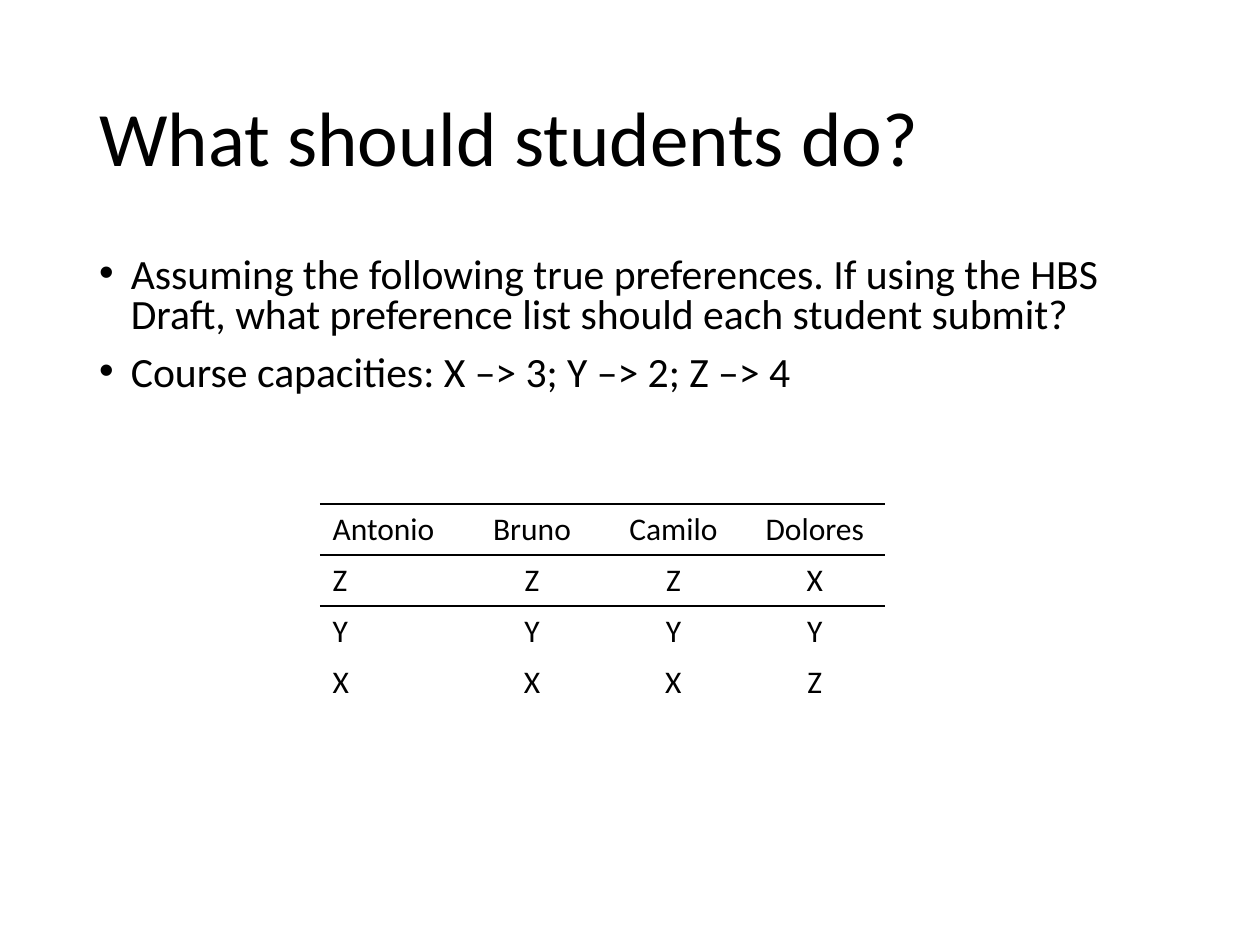
import dataclasses

import lxml.etree
import pptx
import pptx.dml.color
import pptx.enum.text
import pptx.oxml.ns
import pptx.util

Cm = pptx.util.Cm
Pt = pptx.util.Pt
qn = pptx.oxml.ns.qn
ALIGN = pptx.enum.text.PP_ALIGN
ANCHOR = pptx.enum.text.MSO_ANCHOR


@dataclasses.dataclass(frozen=True)
class Theme:
    font: str = "Calibri"
    ink: str = "000000"
    title_size: float = 44
    body_size: float = 23.8
    table_size: float = 18
    rule_width: float = 1


THEME = Theme()

TITLE = "What should students do?"
POINTS = [
    "Assuming the following true preferences. If using the HBS Draft, "
    "what preference list should each student submit?",
    "Course capacities: X –> 3; Y –> 2; Z –> 4",
]
# The first row is empty and only carries the top rule
PREFERENCES = [
    ["", "", "", ""],
    ["Antonio", "Bruno", "Camilo", "Dolores"],
    ["Z", "Z", "Z", "X"],
    ["Y", "Y", "Y", "Y"],
    ["X", "X", "X", "Z"],
]
RULED_ROWS = {0, 1, 2}  # rows with a rule below them


def apply_format(target, values):
    for name, value in values.items():
        setattr(target, name, value)


def add_span(para, text, size):
    span = para.add_run()
    span.text = text
    apply_format(span.font, {"name": THEME.font, "size": Pt(size)})
    span.font.color.rgb = pptx.dml.color.RGBColor.from_string(THEME.ink)


def add_bullet(para):
    properties = para._p.get_or_add_pPr()
    properties.set("marL", str(Cm(0.64)))
    properties.set("indent", str(-Cm(0.64)))
    font = lxml.etree.SubElement(properties, qn("a:buFont"))
    font.set("typeface", "Arial")
    bullet = lxml.etree.SubElement(properties, qn("a:buChar"))
    bullet.set("char", "•")


def add_text(page, top, lines, size, spacing, anchor, bulleted=False):
    box = page.shapes.add_textbox(Cm(1.75), top, Cm(21.9), Cm(3.68))
    frame = box.text_frame
    apply_format(frame, {"word_wrap": True, "vertical_anchor": anchor})
    for index, line in enumerate(lines):
        para = frame.add_paragraph() if index else frame.paragraphs[0]
        if bulleted:
            add_bullet(para)
        apply_format(para, {"line_spacing": spacing,
                            "space_before": Pt(10 if index else 0)})
        add_span(para, line, size)


def set_borders(cell, ruled_sides):
    properties = cell._tc.get_or_add_tcPr()
    for side in ("L", "R", "T", "B"):
        line = lxml.etree.SubElement(properties, qn(f"a:ln{side}"))
        if side in ruled_sides:
            line.set("w", str(Pt(THEME.rule_width)))
            fill = lxml.etree.SubElement(line, qn("a:solidFill"))
            lxml.etree.SubElement(fill, qn("a:srgbClr")).set("val", THEME.ink)
        else:
            lxml.etree.SubElement(line, qn("a:noFill"))


def add_preference_table(page):
    row_count, column_count = len(PREFERENCES), len(PREFERENCES[0])
    table = page.shapes.add_table(
        row_count, column_count, Cm(6.45), Cm(9.13),
        Cm(2.85) * column_count, Cm(1.03) * row_count).table
    apply_format(table, {"first_row": False, "horz_banding": False})
    for row, texts in enumerate(PREFERENCES):
        sides = {"B"} if row in RULED_ROWS else set()
        if row - 1 in RULED_ROWS:
            sides.add("T")
        for column, text in enumerate(texts):
            cell = table.cell(row, column)
            set_borders(cell, sides)
            cell.fill.background()
            para = cell.text_frame.paragraphs[0]
            para.alignment = ALIGN.CENTER if column else ALIGN.LEFT
            if text:
                add_span(para, text, THEME.table_size)


def main():
    deck = pptx.Presentation()
    apply_format(deck, {"slide_width": Cm(25.4), "slide_height": Cm(19.05)})
    page = deck.slides.add_slide(deck.slide_layouts[6])

    # Heading and points
    add_text(page, Cm(1.01), [TITLE], THEME.title_size, 0.9, ANCHOR.MIDDLE)
    add_text(page, Cm(5.07), POINTS, THEME.body_size, 0.8, ANCHOR.TOP,
             bulleted=True)

    # Each student's true preferences
    add_preference_table(page)

    deck.save("out.pptx")


if __name__ == "__main__":
    main()
